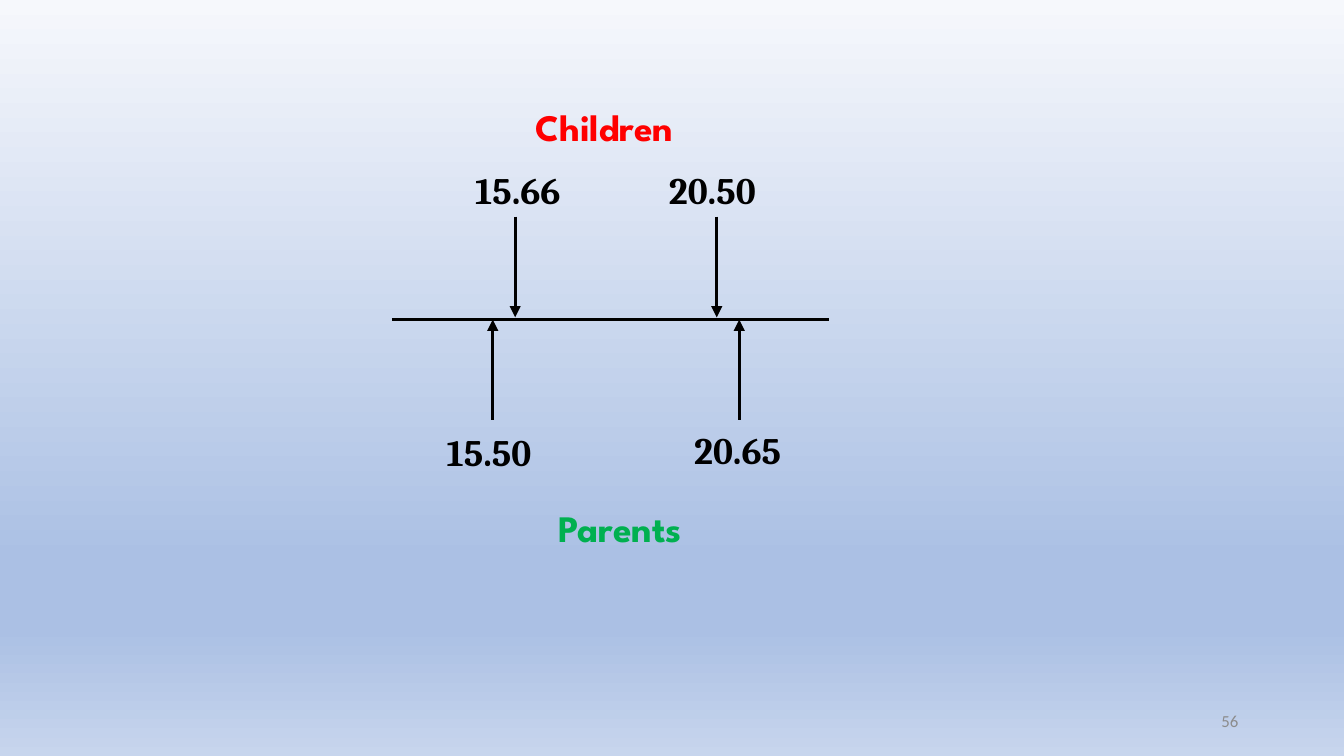
"""Build a slide comparing children and parents on one number line."""
from copy import deepcopy
from typing import NamedTuple

from lxml import etree
from pptx import Presentation
from pptx.dml.color import RGBColor
from pptx.enum.shapes import MSO_CONNECTOR
from pptx.enum.text import MSO_ANCHOR, MSO_AUTO_SIZE, PP_ALIGN
from pptx.oxml.ns import qn
from pptx.slide import Slide
from pptx.util import Pt

STRAIGHT = MSO_CONNECTOR.STRAIGHT
TOP, MIDDLE = MSO_ANCHOR.TOP, MSO_ANCHOR.MIDDLE
LEFT, RIGHT = PP_ALIGN.LEFT, PP_ALIGN.RIGHT
FIT, FIXED = MSO_AUTO_SIZE.SHAPE_TO_FIT_TEXT, MSO_AUTO_SIZE.NONE

BLACK = RGBColor(0x00, 0x00, 0x00)
RED = RGBColor(0xFF, 0x00, 0x00)
GREEN = RGBColor(0x00, 0xB0, 0x50)
GREY = RGBColor(0x8C, 0x8C, 0x8C)
PALE = RGBColor(0xF6, 0xF8, 0xFC)
BLUE = RGBColor(0xAB, 0xC0, 0xE4)
LIGHT = RGBColor(0xC7, 0xD5, 0xED)
STOPS = [(0, PALE), (0.74, BLUE), (0.83, BLUE), (1, LIGHT)]
SERIF, SANS = "Cambria", "League Spartan"


class Label(NamedTuple):
    text: str
    left: float
    top: float
    width: float
    font: str = SERIF
    color: RGBColor = BLACK
    height: float = 31.5
    size: float = 20
    bold: bool = True
    wrap: bool = False
    fit: MSO_AUTO_SIZE = FIT
    align: PP_ALIGN = LEFT
    anchor: MSO_ANCHOR = TOP


class Line(NamedTuple):
    x1: float
    y1: float
    x2: float
    y2: float
    arrow: bool = True


AXIS = 171.25
LINES = [
    Line(210, AXIS, 444, AXIS, False),
    *(Line(x, 116, x, 170) for x in (276, 384)),
    *(Line(x, 225, x, AXIS) for x in (264, 396)),
]
LABELS = [
    Label("15.66", 247.5, 86, 63),
    Label("20.50", 351.25, 86, 63),
    Label("15.50", 232.25, 226.5, 63),
    Label("20.65", 364.75, 225.25, 63),
    Label("Parents", 292, 267.25, 86, SANS, GREEN),
    Label("Children", 279.75, 52.5, 96.5, SANS, RED),
    Label("56", 508.5, 375.25, 162, "Calibri", GREY, 21.5, 9, False,
          True, FIXED, RIGHT, MIDDLE),
]


def paint(slide: Slide) -> None:
    fill = slide.background.fill
    fill.gradient()
    fill.gradient_angle = 270
    stops = slide.element.find(".//" + qn("a:gsLst"))
    for _ in range(len(STOPS) - len(stops)):
        stops.append(deepcopy(stops[-1]))
    for stop, (place, color) in zip(fill.gradient_stops, STOPS):
        stop.position = place
        stop.color.rgb = color


def draw(slide: Slide, item: Line) -> None:
    ends = (Pt(n) for n in item[:4])
    line = slide.shapes.add_connector(STRAIGHT, *ends)
    line.line.color.rgb = BLACK
    line.line.width = Pt(1.5)
    if item.arrow:
        etree.SubElement(line.line._get_or_add_ln(), qn("a:tailEnd"), type="triangle")
    etree.SubElement(line.element.spPr, qn("a:effectLst"))


def write(slide: Slide, item: Label) -> None:
    place = (Pt(n) for n in (item.left, item.top, item.width, item.height))
    frame = slide.shapes.add_textbox(*place).text_frame
    frame.word_wrap = item.wrap
    frame.auto_size = item.fit
    frame.vertical_anchor = item.anchor
    para = frame.paragraphs[0]
    para.alignment = item.align
    run = para.add_run()
    run.text = item.text
    font = run.font
    font.name, font.size, font.bold = item.font, Pt(item.size), item.bold
    font.color.rgb = item.color


def main() -> None:
    deck = Presentation()
    deck.slide_width, deck.slide_height = Pt(720), Pt(405)
    slide = deck.slides.add_slide(deck.slide_layouts[6])
    paint(slide)
    for line in LINES:
        draw(slide, line)
    for label in LABELS:
        write(slide, label)
    deck.save("out.pptx")


if __name__ == "__main__":
    main()
